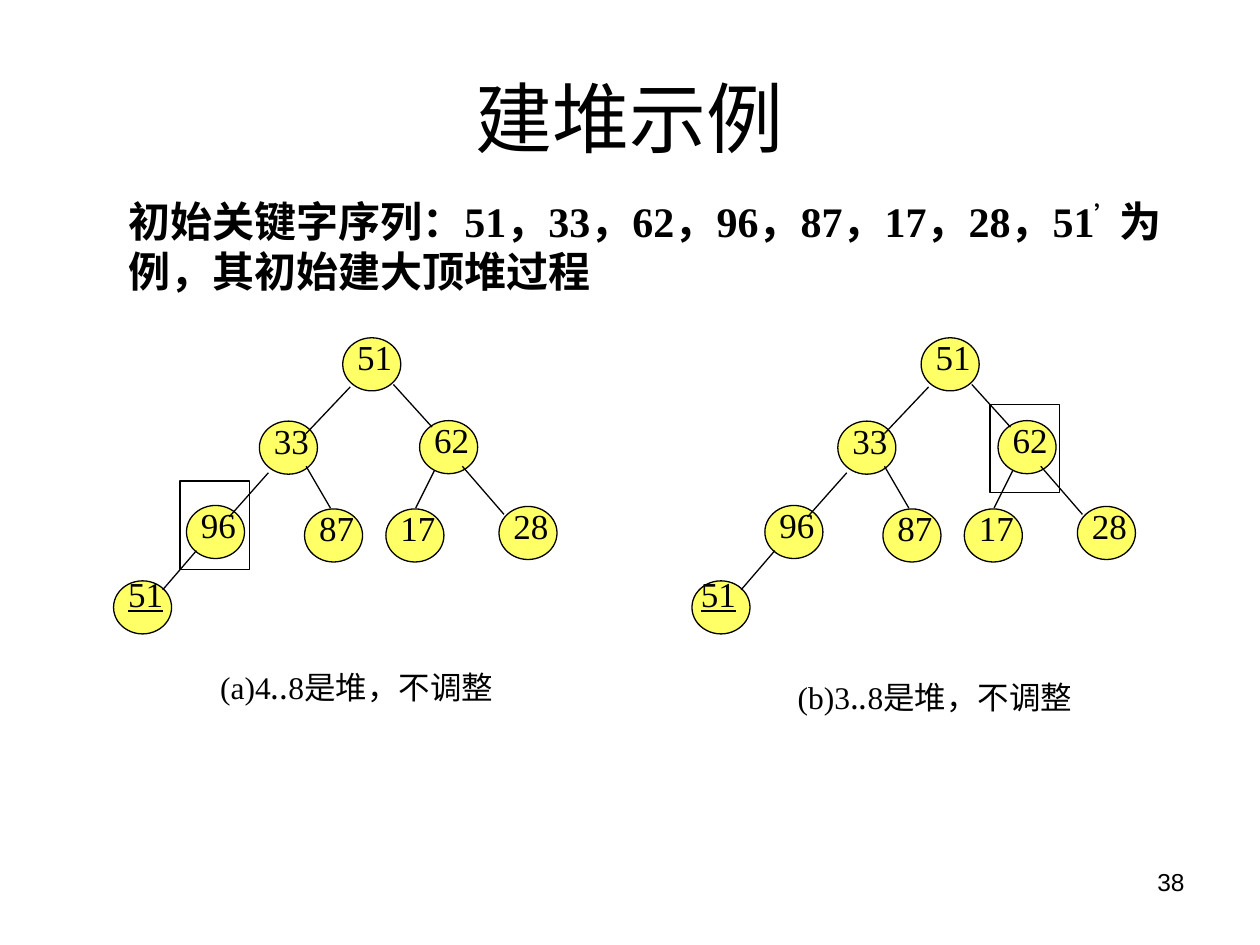
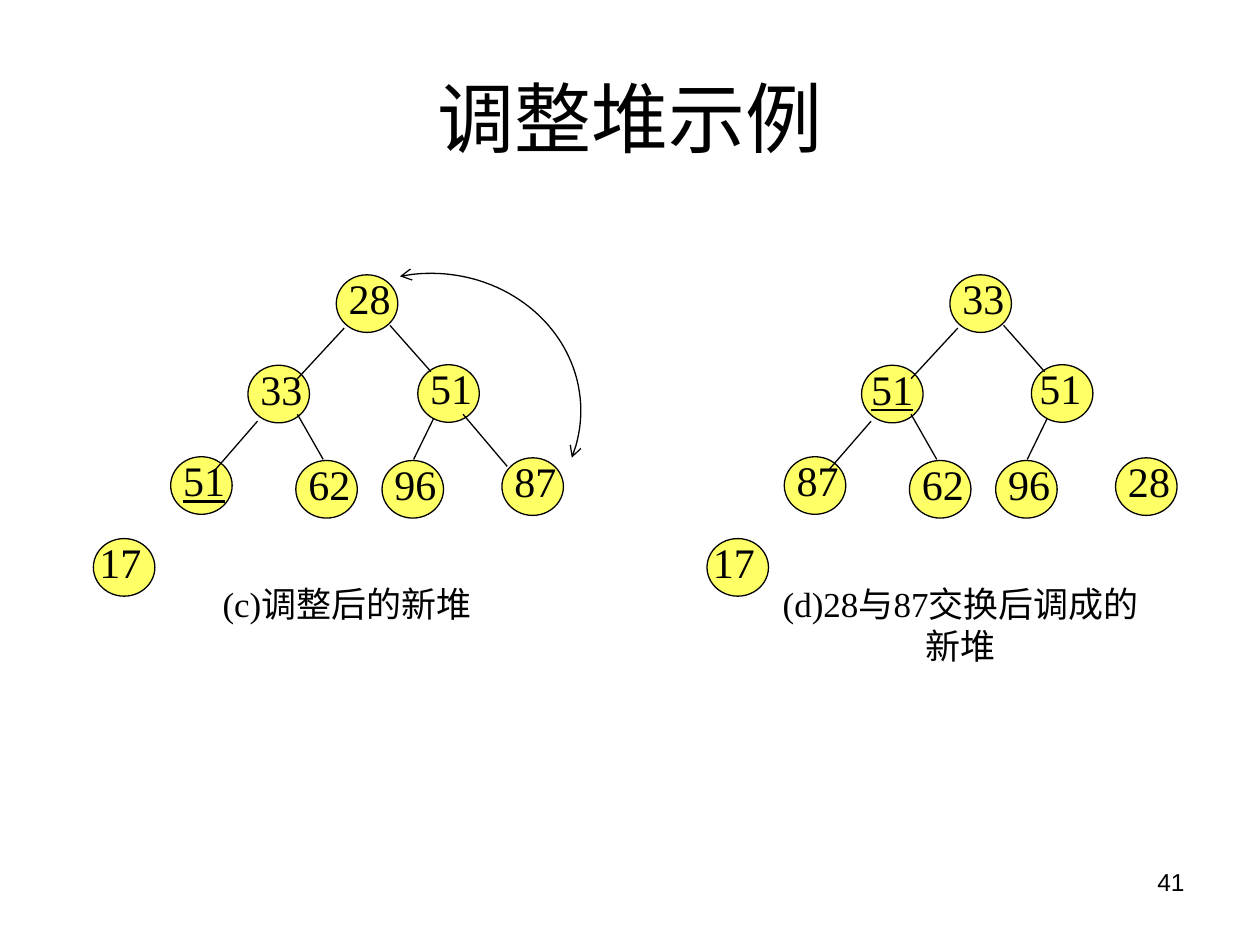
import math

from lxml import etree
from pptx import Presentation
from pptx import util as u
from pptx.dml.color import RGBColor
from pptx.enum import shapes, text
from pptx.oxml.ns import qn

BLACK = RGBColor(0x00, 0x00, 0x00)
YELLOW = RGBColor(0xFF, 0xFF, 0x66)
SANS, SERIF = "Arial", "Times New Roman"
HAN, HAN_JP = "Noto Sans CJK SC", "Noto Sans CJK JP"
LEFT, MID, RIGHT = text.PP_ALIGN.LEFT, text.PP_ALIGN.CENTER, text.PP_ALIGN.RIGHT

# Heap nodes in level order, in cm from the corner of the root
SPOTS = [(0, 0), (-1.68, 1.68), (1.55, 1.67), (-3.15, 3.38),
         (-0.77, 3.45), (0.87, 3.45), (3.15, 3.4), (-4.62, 4.9)]
# The edge that leads to each node after the root
EDGES = [(0.15, 0.99, -0.74, 1.93), (1.02, 0.94, 1.8, 1.8),
         (-1.5, 2.72, -2.29, 3.61), (-0.74, 2.59, -0.25, 3.43),
         (1.85, 2.67, 1.47, 3.43), (2.41, 2.59, 3.25, 3.56),
         (-2.95, 4.29, -3.63, 5.08)]
NODE_W, NODE_H = 1.17, 1.07


class Deck:
    """Holds the style, the current slide and the shapes being added to."""

    def __init__(self):
        self.prs = Presentation()
        self.prs.slide_width, self.prs.slide_height = u.Cm(25.4), u.Cm(19.05)
        self.shapes = None

    def page(self, title, font, number):
        slide = self.prs.slides.add_slide(self.prs.slide_layouts[6])
        self.shapes = slide.shapes
        self.words((1.27, 0.76, 22.86, 3.18), [(title, font)], 44, MID,
                   anchor=text.MSO_ANCHOR.MIDDLE)
        self.words((18.21, 17.35, 5.92, 1.32), [(number, SANS)], 14, RIGHT)

    def words(self, box, runs, size, align=LEFT, bold=False, line=False,
              tight=False, anchor=text.MSO_ANCHOR.TOP):
        """Add a text box; a run is (text, font) or (text, font, baseline)."""
        frame = self.shapes.add_textbox(*map(u.Cm, box)).text_frame
        frame.word_wrap = True
        frame.vertical_anchor = anchor
        if tight:
            frame.margin_left = frame.margin_right = frame.margin_top = 0
            frame.margin_bottom = u.Cm(0.1)
        para = frame.paragraphs[0]
        para.alignment = align
        for wording, face, *base in runs:
            run = para.add_run()
            run.text = wording
            font = run.font
            font.name, font.size, font.bold = face, u.Pt(size), bold
            font.underline = line
            font.color.rgb = BLACK
            props = run._r.get_or_add_rPr()
            if base:
                props.set("baseline", str(base[0] * 1000))
            asian = face if face in (HAN, HAN_JP) else HAN
            etree.SubElement(props, qn("a:ea")).set("typeface", asian)

    def style(self, shape, fill=None):
        shape.shadow.inherit = False
        if fill is None:
            shape.fill.background()
        else:
            shape.fill.solid()
            shape.fill.fore_color.rgb = fill
        self.stroke(shape)

    def stroke(self, shape):
        shape.line.color.rgb = BLACK
        shape.line.width = u.Pt(0.75)

    def form(self, kind, box, fill=None):
        self.style(self.shapes.add_shape(kind, *map(u.Cm, box)), fill)

    def frame(self, x, y):
        self.form(shapes.MSO_SHAPE.RECTANGLE, (x, y, 1.4, 1.78))

    def edge(self, ends):
        link = self.shapes.add_connector(shapes.MSO_CONNECTOR.STRAIGHT,
                                         *map(u.Cm, ends))
        self.stroke(link)
        etree.SubElement(link._element.spPr, qn("a:effectLst"))

    def arc(self, x, y, rx, ry, start, end):
        """Draw part of an ellipse, in degrees, with an arrow at both ends."""
        steps = 48
        turns = [math.radians(start + (end - start) * i / steps)
                 for i in range(steps + 1)]
        dots = [(u.Cm(x + rx * math.cos(t)), u.Cm(y + ry * math.sin(t)))
                for t in turns]
        pen = self.shapes.build_freeform(*dots[0])
        pen.add_line_segments(dots[1:], close=False)
        curve = pen.convert_to_shape()
        self.style(curve)
        line = curve.line._get_or_add_ln()
        for tip in ("a:headEnd", "a:tailEnd"):
            etree.SubElement(line, qn(tip)).set("type", "arrow")

    def tree(self, x, y, keys, live, marked, size, scale=(1, 1), shifts=None):
        """Draw a heap; only the first `live` nodes are joined by edges.

        The key at index `marked` is underlined; `shifts` moves single labels.
        """
        sx, sy = scale
        spots = [(x + a * sx, y + b * sy) for a, b in SPOTS]
        outer = self.shapes
        self.shapes = outer.add_group_shape().shapes
        for a, b in spots:
            self.form(shapes.MSO_SHAPE.OVAL,
                      (a, b, NODE_W * sx, NODE_H * sy), YELLOW)
        for a, b, c, d in EDGES[:live - 1]:
            self.edge((x + a * sx, y + b * sy, x + c * sx, y + d * sy))
        for i, (key, (a, b)) in enumerate(zip(keys, spots)):
            dx, dy = (shifts or {}).get(i, (0, 0))
            self.words((a + 0.16 + dx, b - 0.04 + dy, 0.97 * sx, 1.25 * sy),
                       [(str(key), SERIF)], size, MID,
                       line=i == marked, tight=True)
        self.shapes = outer


def build(deck):
    deck.page("建堆示例", SANS, "38")
    keys = [51, 33, 62, 96, 87, 17, 28, 51]
    intro = [("初始关键字序列：", HAN)]
    for key in keys[:-1]:
        intro += [(str(key), SERIF), ("，", HAN)]
    intro += [(str(keys[-1]), SERIF), ("’", HAN, 30),
              ("为例，其初始建大顶堆过程", HAN)]
    deck.words((2.34, 3.81, 21.79, 2.34), intro, 24, bold=True)
    for x, dx, left, top, name in ((6.91, 0, 0.61, 13.34, "(a)4"),
                                   (18.57, -0.11, 12.27, 13.54, "(b)3")):
        deck.tree(x, 6.81, keys, 8, 7, 20, shifts={7: (dx, -0.13)})
        deck.words((left, top, 13.16, 2.69),
                   [(name, SERIF), ("..", HAN), ("8", SERIF),
                    ("是堆，不调整", SANS)], 18, MID)
    deck.frame(3.63, 9.7)
    deck.frame(19.96, 8.15)

    deck.page("调整堆示例", HAN_JP, "41")
    last = (-0.13, 0)
    heaps = [
        (6.78, [28, 33, 51, 51, 62, 96, 87, 17], 7, 3, {7: last}, 2.95,
         [("(c)", SERIF), ("调整后的新堆", SANS)]),
        (19.15, [33, 51, 51, 87, 62, 96, 28, 17], 6, 1,
         {1: (-0.06, 0), 2: (-0.09, 0), 7: last}, 15.32,
         [("(d)28", SERIF), ("与", SANS), ("87", SERIF),
          ("交换后调成的新堆", SANS)]),
    ]
    for x, keys, live, marked, shifts, left, name in heaps:
        deck.tree(x, 5.54, keys, live, marked, 24, (1.06, 1.085), shifts)
        deck.words((left, 11.61, 8.1, 3.2), name, 20, MID)
    deck.arc(8.69, 8.28, 3.02, 2.77, 20, -102)


def main():
    deck = Deck()
    build(deck)
    deck.prs.save("out.pptx")


if __name__ == "__main__":
    main()
